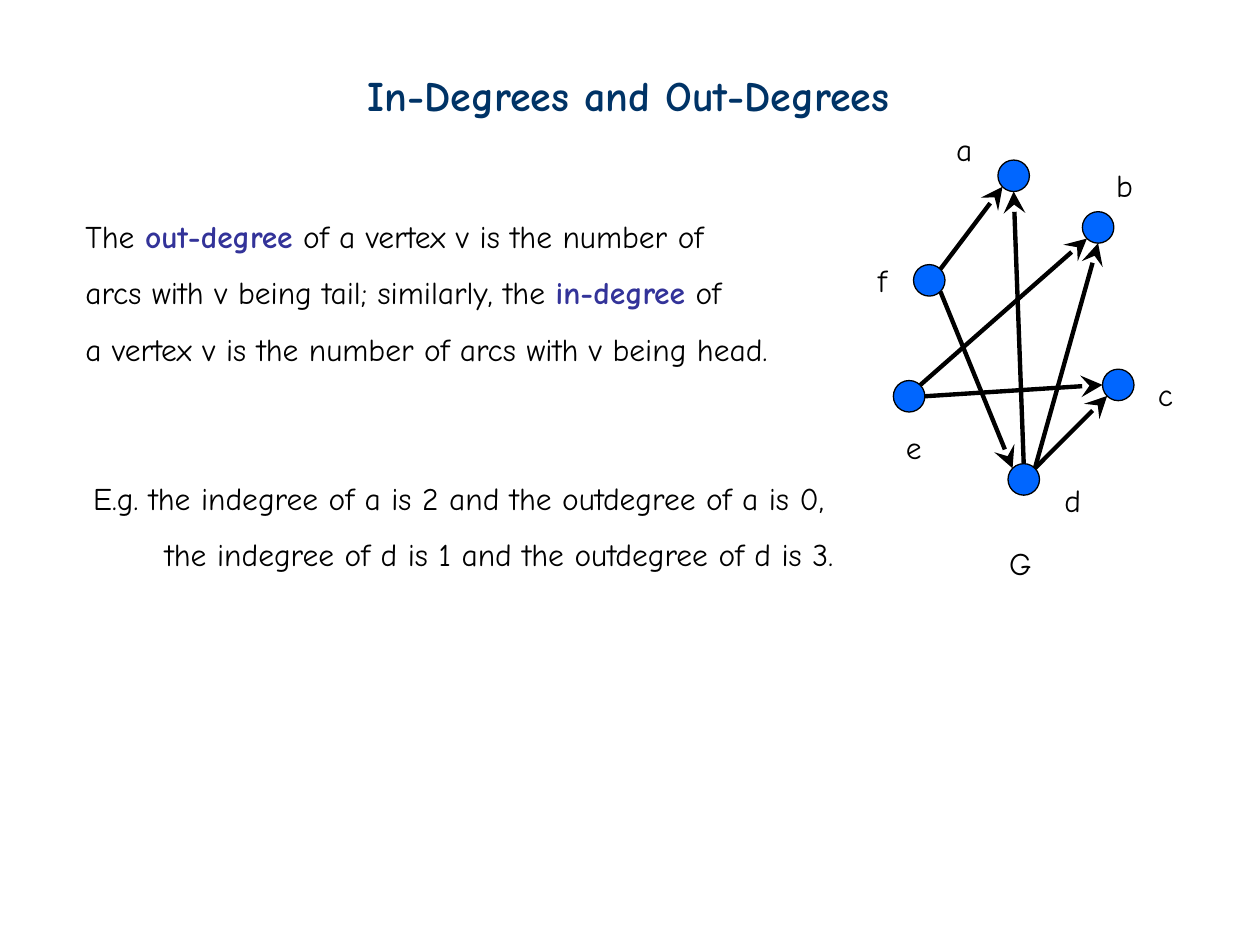
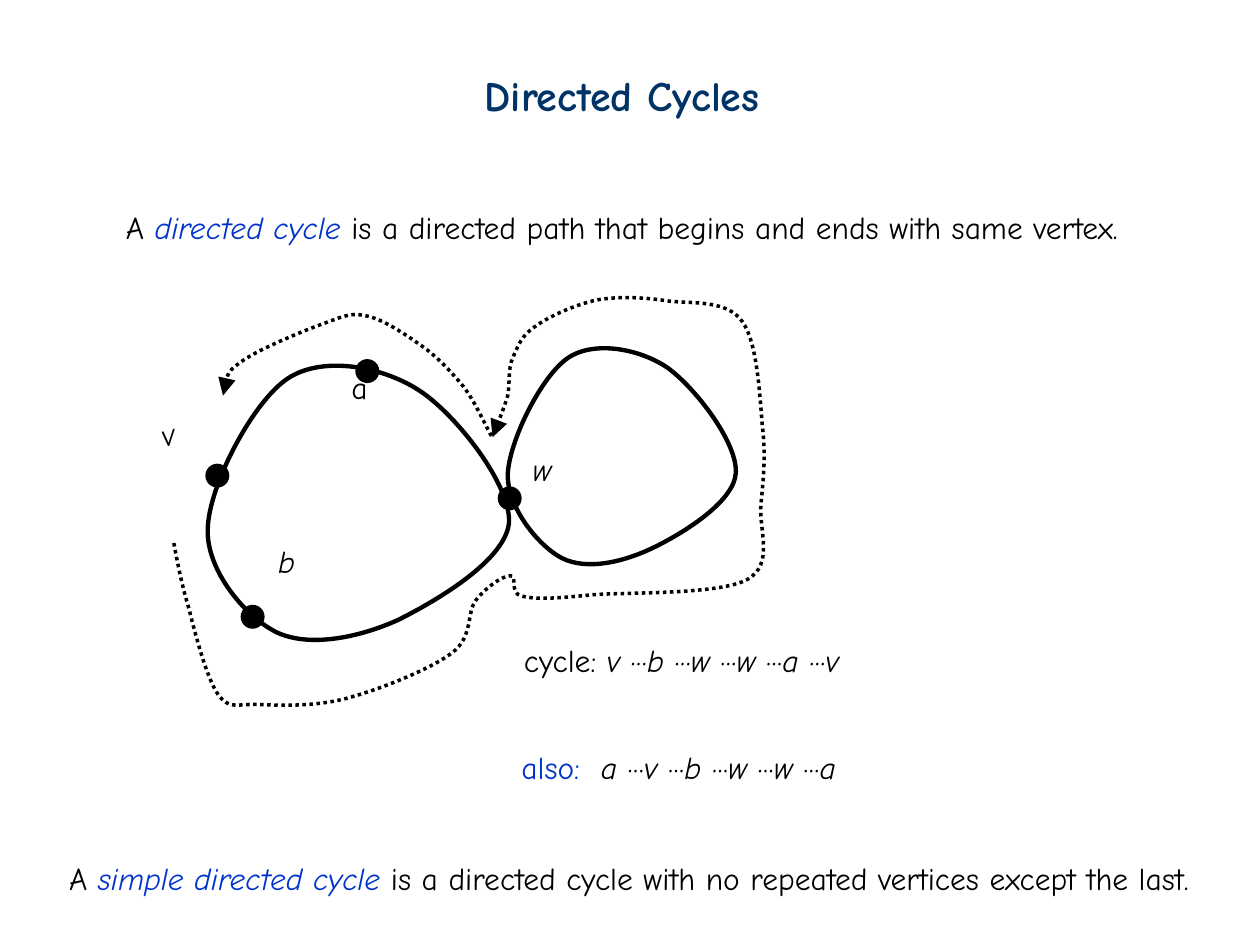
from lxml import etree
from pptx import Presentation
from pptx import util as u
from pptx.dml.color import RGBColor
from pptx.enum import dml, shapes, text
from pptx.oxml.ns import qn

PX = 9144  # 100 px to the inch
FONT = "Comic Neue"
BLACK = RGBColor(0x00, 0x00, 0x00)
NAVY = RGBColor(0x00, 0x33, 0x66)
INDIGO = RGBColor(0x33, 0x33, 0x99)
BLUE = RGBColor(0x00, 0x33, 0xCC)
VERTEX_BLUE = RGBColor(0x00, 0x66, 0xFF)

PLAIN = {}
ITALIC = {"italic": True}
TERM = {"bold": True, "color": INDIGO}
KEY = {"italic": True, "color": BLUE}
LABEL = {"color": BLUE}


def walk(vertices):
    """Runs of italic vertices with upright dots between them."""
    runs = []
    for vertex in vertices[:-1]:
        runs += [(vertex + " ", ITALIC), ("···", PLAIN)]
    return runs + [(vertices[-1], ITALIC)]


# Slide 1: boxes are left, top, width, height
DEGREES_TITLE = ("In-Degrees and Out-Degrees", (282, 50, 436, 50))
DEFINITION_BOX = (58, 167, 563, 130)
DEFINITION = [
    [("The ", PLAIN), ("out-degree", TERM), (" of a vertex v is the number of", PLAIN)],
    [("arcs with v being tail; similarly, the ", PLAIN), ("in-degree", TERM), (" of", PLAIN)],
    [("a vertex v is the number of arcs with v being head.", PLAIN)],
]
EXAMPLE_BOX = (64, 375, 611, 85)
EXAMPLE = [
    [("E.g. the indegree of a is 2 and the outdegree of a is 0,", PLAIN)],
    [("the indegree of d is 1 and the outdegree of d is 3.", PLAIN)],
]
EXAMPLE_INDENT = 57

VERTEX_SIZE = 25
VERTICES = {  # name: corner of the disc
    "f": (725, 210), "a": (792, 127), "e": (709, 302),
    "c": (875, 293), "b": (859, 168), "d": (800, 368),
}
ARCS = [  # tail, side it leaves; head, side it reaches
    ("e", "NE", "b", "SW"), ("e", "E", "c", "W"), ("f", "NE", "a", "SW"),
    ("d", "NE", "b", "S"), ("d", "NE", "c", "SW"), ("d", "N", "a", "S"),
    ("f", "SE", "d", "NW"),
]
GRAPH_LABELS = {
    "a": (749, 98, 33), "f": (687, 202, 27), "e": (709, 335, 32), "d": (835, 377, 33),
    "c": (909, 293, 32), "b": (876, 127, 33), "G": (791, 427, 38),
}

# Slide 2: curves are a start point, then three points for each Bézier piece
CYCLES_TITLE = ("Directed Cycles", (375, 50, 240, 50))
LOOPS = [
    [(165, 419), (166, 385), (201, 318), (229, 300), (257, 282), (304, 291), (333, 310),
     (362, 329), (406, 385), (404, 415), (401, 445), (346, 477), (316, 492),
     (285, 506), (246, 514), (220, 502), (195, 490), (163, 452), (165, 419)],
    [(403, 377), (404, 350), (430, 298), (451, 284), (472, 270), (508, 277), (530, 292),
     (552, 308), (586, 352), (584, 376), (582, 399), (541, 424), (518, 435),
     (495, 446), (466, 453), (446, 443), (427, 433), (403, 403), (403, 377)],
]
ROUTES = [
    [(390, 346), (383, 333), (377, 319), (368, 307), (358, 295), (347, 283), (334, 274),
     (321, 265), (305, 254), (292, 251), (280, 248), (275, 250), (259, 256),
     (242, 262), (206, 277), (193, 286), (179, 296), (178, 305), (177, 314)],
    [(138, 431), (141, 447), (144, 463), (150, 483), (155, 503), (164, 538), (173, 551),
     (182, 563), (186, 559), (204, 559), (221, 560), (251, 561), (276, 554),
     (302, 547), (342, 531), (359, 518), (376, 505), (370, 486), (378, 476),
     (386, 466), (399, 457), (405, 457), (411, 456), (404, 471), (414, 473),
     (425, 476), (441, 475), (471, 472), (500, 470), (571, 472), (593, 460),
     (615, 448), (602, 420), (604, 400), (606, 379), (608, 361), (605, 337),
     (603, 313), (601, 271), (589, 255), (577, 238), (550, 241), (531, 239),
     (512, 236), (492, 235), (474, 238), (456, 242), (436, 251), (425, 259),
     (414, 266), (411, 275), (407, 284), (403, 293), (405, 303), (403, 314),
     (400, 324), (395, 336), (391, 347)],
]
DOT_SIZE = 19
DOTS = [(395, 386), (163, 368), (282, 285), (191, 480)]
CYCLE_LABELS = [  # name, left, top, width, style, rotation
    ("w", 413, 352, 35, ITALIC, 0), ("v", 118, 324, 30, ITALIC, -13.6),
    ("a", 269, 287, 33, PLAIN, 0), ("b", 211, 425, 33, ITALIC, 0),
]
STATEMENTS = [  # left, top, width, runs
    (90, 160, 819, [("A ", PLAIN), ("directed cycle", KEY),
                    (" is a directed path that begins and ends with same vertex.", PLAIN)]),
    (406, 504, 270, [("cycle: ", PLAIN)] + walk("vbwwav")),
    (404, 589, 270, [("also:\t", LABEL)] + walk("avbwwa")),
    (45, 677, 922, [("A ", PLAIN), ("simple directed cycle", KEY),
                    (" is a directed cycle with no repeated vertices except the last.", PLAIN)]),
]
ALSO_TAB = 63
LINE_HEIGHT = 40


def px(*lengths):
    return [u.Emu(round(length * PX)) for length in lengths]


def add_text(slide, box, paragraphs, size=18, color=BLACK, bold=False, indent=0):
    """Unwrapped text; later lines are spaced 1.5 and moved right by indent."""
    shape = slide.shapes.add_textbox(*px(*box))
    frame = shape.text_frame
    frame.word_wrap = False
    frame.auto_size = text.MSO_AUTO_SIZE.SHAPE_TO_FIT_TEXT
    for index, runs in enumerate(paragraphs):
        paragraph = frame.add_paragraph() if index else frame.paragraphs[0]
        properties = paragraph._p.get_or_add_pPr()
        if index:
            paragraph.line_spacing = 1.5
            properties.set("marL", str(indent * PX))
        if any("\t" in words for words, _ in runs):
            tabs = etree.SubElement(properties, qn("a:tabLst"))
            etree.SubElement(tabs, qn("a:tab"), pos=str(ALSO_TAB * PX), algn="l")
        font = paragraph.font
        font.name, font.size, font.bold = FONT, u.Pt(size), bold
        font.color.rgb = color
        for words, style in runs:
            run = paragraph.add_run()
            run.text = words
            if "bold" in style:
                run.font.bold = True
            if "italic" in style:
                run.font.italic = True
            if "color" in style:
                run.font.color.rgb = style["color"]
    return shape


def add_title(slide, title):
    words, box = title
    add_text(slide, box, [[(words, PLAIN)]], size=24, color=NAVY, bold=True)


def add_disc(slide, corner, size, color, outlined):
    disc = slide.shapes.add_shape(shapes.MSO_SHAPE.OVAL, *px(*corner, size, size))
    disc.shadow.inherit = False
    disc.fill.solid()
    disc.fill.fore_color.rgb = color
    if outlined:
        style_line(disc.line, 0.75)
    else:
        disc.line.fill.background()


def style_line(line, width, head=None):
    line.color.rgb = BLACK
    line.width = u.Pt(width)
    if head:
        etree.SubElement(line._get_or_add_ln(), qn("a:tailEnd"), type=head, w="lg", len="lg")


def site(vertex, side):
    """Point on the rim of a vertex in a compass direction."""
    radius = VERTEX_SIZE / 2
    reach = radius * (0.5 ** 0.5 if len(side) == 2 else 1)
    left, top = VERTICES[vertex]
    return (left + radius + reach * (("E" in side) - ("W" in side)),
            top + radius + reach * (("S" in side) - ("N" in side)))


def add_arc(slide, tail, tail_side, head, head_side):
    arc = slide.shapes.add_connector(
        shapes.MSO_CONNECTOR.STRAIGHT, *px(*site(tail, tail_side), *site(head, head_side)))
    style_line(arc.line, 2.5, "stealth")
    etree.SubElement(arc.element.spPr, qn("a:effectLst"))


def add_curve(slide, points, closed=False):
    """Freeform whose points after the first are Bézier triples."""
    builder = slide.shapes.build_freeform(*points[0], scale=PX)
    builder.add_line_segments(points[1:], close=closed)
    curve = builder.convert_to_shape()
    segments = curve.element.findall(".//" + qn("a:lnTo"))
    for start in range(0, len(segments), 3):
        piece = etree.Element(qn("a:cubicBezTo"))
        segments[start].addprevious(piece)
        for segment in segments[start:start + 3]:
            piece.append(segment[0])
            segment.getparent().remove(segment)
    curve.shadow.inherit = False
    curve.fill.background()
    return curve


def build_degrees(slide):
    add_title(slide, DEGREES_TITLE)
    for corner in VERTICES.values():
        add_disc(slide, corner, VERTEX_SIZE, VERTEX_BLUE, outlined=True)
    for arc in ARCS:
        add_arc(slide, *arc)
    for name, place in GRAPH_LABELS.items():
        add_text(slide, (*place, LINE_HEIGHT), [[(name, PLAIN)]])
    add_text(slide, DEFINITION_BOX, DEFINITION)
    add_text(slide, EXAMPLE_BOX, EXAMPLE, indent=EXAMPLE_INDENT)


def build_cycles(slide):
    add_title(slide, CYCLES_TITLE)
    for points in LOOPS:
        style_line(add_curve(slide, points, closed=True).line, 2.5)
    for points in ROUTES:
        route = add_curve(slide, points)
        route.line.dash_style = dml.MSO_LINE.ROUND_DOT
        style_line(route.line, 2, "triangle")
    for corner in DOTS:
        add_disc(slide, corner, DOT_SIZE, BLACK, outlined=False)
    for name, left, top, width, style, rotation in CYCLE_LABELS:
        label = add_text(slide, (left, top, width, LINE_HEIGHT), [[(name, style)]])
        label.rotation = rotation
    for left, top, width, runs in STATEMENTS:
        add_text(slide, (left, top, width, LINE_HEIGHT), [runs])


def main():
    presentation = Presentation()
    presentation.slide_width, presentation.slide_height = px(1000, 750)
    for build in (build_degrees, build_cycles):
        build(presentation.slides.add_slide(presentation.slide_layouts[6]))
    presentation.save("out.pptx")


if __name__ == "__main__":
    main()
